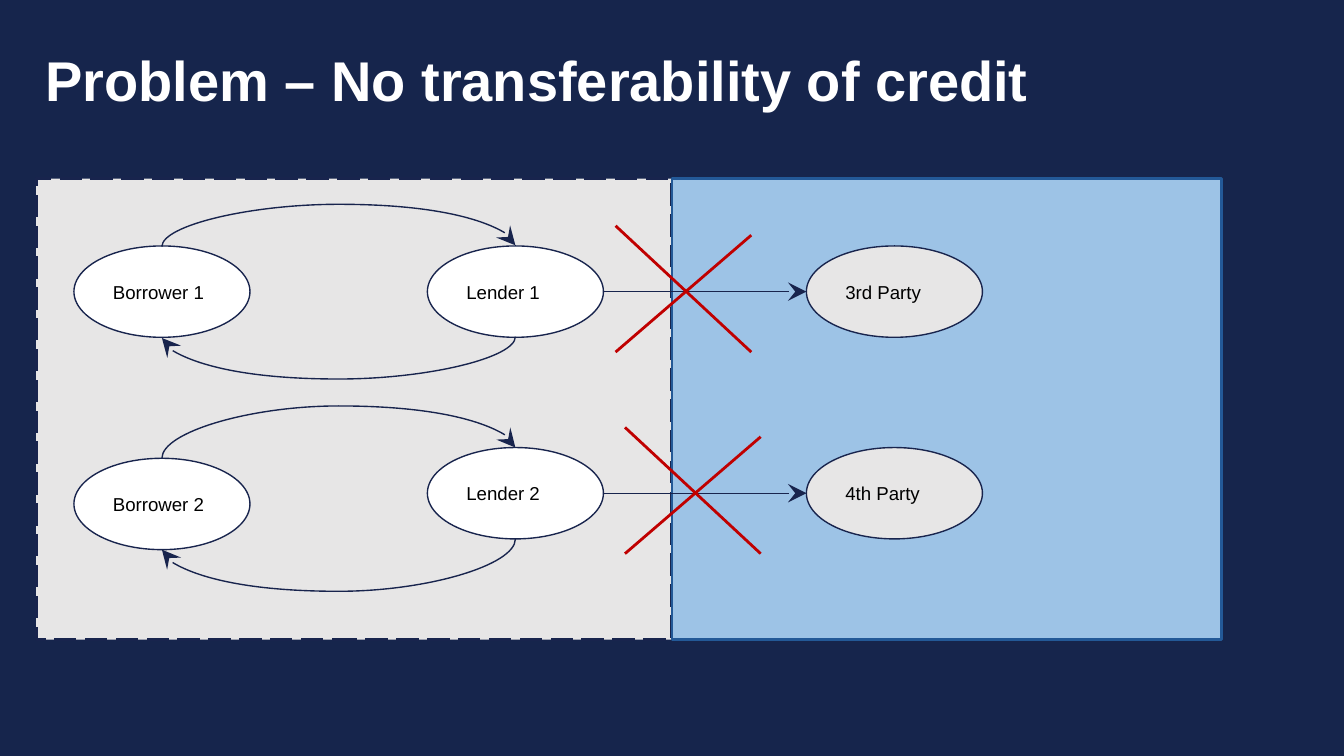
"""Build the slide about credit that cannot be transferred."""
from lxml import etree
from pptx import Presentation
from pptx import util as u
from pptx.dml.color import RGBColor
from pptx.enum import dml, shapes, text
from pptx.oxml.ns import qn

COLORS = {
    "background": "16254C", "navy": "18244D", "gray": "E7E6E6", "sky": "9DC3E6",
    "blue": "235997", "white": "FFFFFF", "black": "000000", "red": "C00000",
}
OVAL_WIDTH, OVAL_HEIGHT = 1.31, 0.68
BORROWER_X, LENDER_X, PARTY_X = 0.55, 3.18, 6


def write(shape, words, size, color, bold=False, anchor=text.MSO_ANCHOR.MIDDLE):
    frame = shape.text_frame
    frame.word_wrap = True
    frame.vertical_anchor = anchor
    frame.margin_left = frame.margin_right = u.Inches(0.1)
    frame.margin_top = frame.margin_bottom = u.Inches(0.1)
    para = frame.paragraphs[0]
    para.alignment = text.PP_ALIGN.LEFT
    span = para.add_run()
    span.text = words
    span.font.name = "Arial"
    span.font.size = u.Pt(size)
    span.font.bold = bold
    span.font.color.rgb = RGBColor.from_string(COLORS[color])


def connect(kind, start, end, color, width, arrow=None):
    line = page.shapes.add_connector(kind, *[u.Inches(v) for v in (*start, *end)])
    line.line.color.rgb = RGBColor.from_string(COLORS[color])
    line.line.width = u.Pt(width)
    if arrow:
        etree.SubElement(line.line._get_or_add_ln(), qn(f"a:{arrow}"),
                         type="stealth", w="lg", len="lg")
    etree.SubElement(line._element.spPr, qn("a:effectLst"))
    return line


deck = Presentation()
deck.slide_width = u.Inches(10)
deck.slide_height = deck.slide_width * 9 // 16
page = deck.slides.add_slide(deck.slide_layouts[6])
page.background.fill.solid()
page.background.fill.fore_color.rgb = RGBColor.from_string(COLORS["background"])

title = page.shapes.add_textbox(u.Inches(0.24), u.Inches(0.24), u.Inches(10.04), u.Inches(0.95))
write(title, "Problem – No transferability of credit", 30, "white",
      bold=True, anchor=text.MSO_ANCHOR.TOP)

RECT, OVAL = shapes.MSO_SHAPE.RECTANGLE, shapes.MSO_SHAPE.OVAL
figures = [
    (RECT, 0.27, 1.33, 4.73, 3.43, "gray", "navy", 1.5, None),
    (RECT, 5, 1.33, 4.09, 3.43, "sky", "blue", 1.5, None),
]
for name, x, y, fill in [
    ("Borrower 1", BORROWER_X, 1.83, "white"),
    ("Borrower 2", BORROWER_X, 3.41, "white"),
    ("Lender 2", LENDER_X, 3.33, "white"),
    ("3rd Party", PARTY_X, 1.83, "gray"),
    ("4th Party", PARTY_X, 3.33, "gray"),
    ("Lender 1", LENDER_X, 1.83, "white"),
]:
    figures.append((OVAL, x, y, OVAL_WIDTH, OVAL_HEIGHT, fill, "navy", 0.75, name))

for kind, x, y, width, height, fill, outline, weight, name in figures:
    box = page.shapes.add_shape(kind, *[u.Inches(v) for v in (x, y, width, height)])
    box.shadow.inherit = False
    box.fill.solid()
    box.fill.fore_color.rgb = RGBColor.from_string(COLORS[fill])
    box.line.color.rgb = RGBColor.from_string(COLORS[outline])
    box.line.width = u.Pt(weight)
    if outline == "navy" and kind == RECT:
        box.line.dash_style = dml.MSO_LINE.LONG_DASH
    if name:
        write(box, name, 10, "black")

STRAIGHT, CURVE = shapes.MSO_CONNECTOR.STRAIGHT, shapes.MSO_CONNECTOR.CURVE
span_x = LENDER_X - BORROWER_X
center_x = (BORROWER_X + LENDER_X + OVAL_WIDTH) / 2
bulge = 0.31
for borrower_y, lender_y, cross_x, cross_y in [(1.83, 1.83, 4.58, 1.68), (3.41, 3.33, 4.65, 3.18)]:
    rise = max(borrower_y - lender_y, 0.01)
    for offset, bend, arrow in [
        (0, rise + bulge, "tailEnd"),
        (OVAL_HEIGHT, -bulge, "headEnd"),
    ]:
        center_y = (borrower_y + lender_y) / 2 + offset
        curve = connect(CURVE, (center_x - rise / 2, center_y - span_x / 2),
                        (center_x + rise / 2, center_y + span_x / 2), "navy", 0.75, arrow)
        properties = curve._element.spPr
        properties.find(qn("a:xfrm")).set("rot", str(270 * 60000))
        guides = properties.find(qn("a:prstGeom")).get_or_add_avLst()
        etree.SubElement(guides, qn("a:gd"), name="adj1", fmla=f"val {round(bend / rise * 100000)}")

    middle_y = lender_y + OVAL_HEIGHT / 2
    connect(STRAIGHT, (LENDER_X + OVAL_WIDTH, middle_y), (PARTY_X, middle_y),
            "navy", 0.75, "tailEnd")
    cross_right, cross_bottom = cross_x + 1.01, cross_y + 0.94
    connect(STRAIGHT, (cross_x, cross_y), (cross_right, cross_bottom), "red", 1.5)
    connect(STRAIGHT, (cross_x, cross_bottom), (cross_right, cross_y + 0.07), "red", 1.5)

deck.save("out.pptx")
